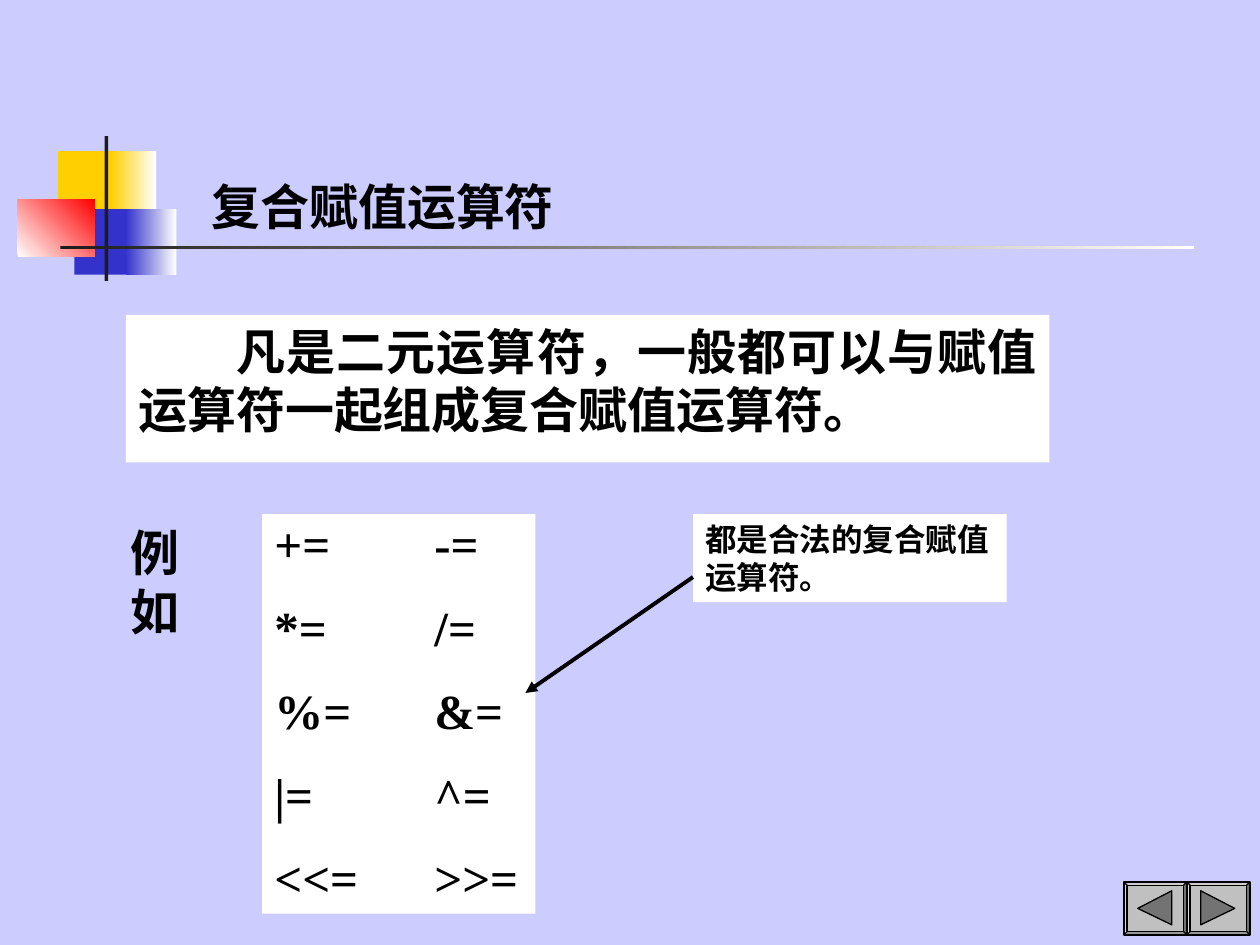
from lxml import etree
from pptx import Presentation
from pptx.dml.color import RGBColor
from pptx.enum.shapes import MSO_CONNECTOR, MSO_SHAPE
from pptx.enum.text import MSO_ANCHOR, PP_ALIGN
from pptx.oxml.ns import qn
from pptx.util import Inches, Pt

RECT, BEVEL = MSO_SHAPE.RECTANGLE, MSO_SHAPE.BEVEL
STRAIGHT = MSO_CONNECTOR.STRAIGHT
TOP, BOTTOM = MSO_ANCHOR.TOP, MSO_ANCHOR.BOTTOM
LEFT, JUSTIFY = PP_ALIGN.LEFT, PP_ALIGN.JUSTIFY

LILAC = RGBColor(0xCC, 0xCC, 0xFF)
WHITE = RGBColor(0xFF, 0xFF, 0xFF)
BLACK = RGBColor(0, 0, 0)
GOLD = RGBColor(0xFF, 0xCF, 0x01)
BLUE = RGBColor(0x33, 0x33, 0xCC)
RED = RGBColor(0xFF, 0, 0)
INK = RGBColor(0x1C, 0x1C, 0x1C)
SILVER = RGBColor(0xC0, 0xC0, 0xC0)
GRAY = RGBColor(0x73, 0x73, 0x73)
FONT = "Times New Roman"

TITLE = "复合赋值运算符"
RULE = "凡是二元运算符，一般都可以与赋值运算符一起组成复合赋值运算符。"
LABEL = "例如"
NOTE = "都是合法的复合赋值运算符。"
PAIRS = [("+=", "-="), ("*=", "/="), ("%=", "&="), ("|=", "^="), ("<<=", ">>=")]

DECOR = [
    ((0.46, 1.2, 0.48, 0.52), (GOLD,), 0),
    ((0.88, 1.2, 0.36, 0.52), (GOLD, WHITE), 0),
    ((0.59, 1.66, 0.46, 0.52), (BLUE,), 0),
    ((1, 1.66, 0.4, 0.52), (BLUE, WHITE), 0),
    ((0.14, 1.58, 0.61, 0.46), (WHITE, RED), 45),
    ((0.83, 1.08, 0.03, 1.15), (INK,), 0),
    ((0.48, 1.95, 9, 0.03), (INK, WHITE), 0),
]
BUTTONS = [
    (8.92, [(0.11, 0.21), (0.38, 0.07), (0.38, 0.34)]),
    (9.42, [(0.11, 0.07), (0.38, 0.21), (0.11, 0.34)]),
]
BTN_TOP, BTN_W, BTN_H = 7, 0.5, 0.42

prs = Presentation()
prs.slide_width, prs.slide_height = Inches(10), Inches(7.5)
slide = prs.slides.add_slide(prs.slide_layouts[6])
slide.background.fill.solid()
slide.background.fill.fore_color.rgb = LILAC
shapes = slide.shapes


def paint(shape, color):
    shape.fill.solid()
    shape.fill.fore_color.rgb = color


def add_block(box, colors, angle):
    shape = shapes.add_shape(RECT, *map(Inches, box))
    shape.shadow.inherit = False
    shape.line.fill.background()
    if len(colors) == 1:
        paint(shape, colors[0])
        return
    shape.fill.gradient()
    shape.fill.gradient_angle = angle
    for stop, color in zip(shape.fill.gradient_stops, colors):
        stop.color.rgb = color


def add_text(box, lines, size=28, fill=None, anchor=TOP, align=LEFT,
             indent=0, gap=0, pitch=None, tab=None, wrap=True):
    shape = shapes.add_textbox(*map(Inches, box))
    if fill is not None:
        paint(shape, fill)
    frame = shape.text_frame
    frame.word_wrap = wrap
    frame.vertical_anchor = anchor
    for i, line in enumerate(lines):
        para = frame.paragraphs[0] if i == 0 else frame.add_paragraph()
        para.text = line
        props = para._p.get_or_add_pPr()
        if indent:
            props.set("indent", str(Inches(indent)))
        if tab:
            stops = etree.SubElement(props, qn("a:tabLst"))
            etree.SubElement(stops, qn("a:tab"), pos=str(Inches(tab)), algn="l")
        para.alignment = align
        if pitch:
            para.line_spacing = pitch
        if i and gap:
            para.space_before = Pt(gap)
        font = para.font
        font.name, font.size, font.bold = FONT, Pt(size), True
        font.color.rgb = BLACK


def add_arrow(start, end):
    line = shapes.add_connector(STRAIGHT, *map(Inches, start + end))
    line.line.color.rgb = BLACK
    line.line.width = Pt(2.25)
    etree.SubElement(line.line._get_or_add_ln(), qn("a:tailEnd"), type="triangle")
    etree.SubElement(line._element.spPr, qn("a:effectLst"))


def add_button(left, points):
    frame = shapes.add_shape(BEVEL, *map(Inches, (left, BTN_TOP, BTN_W, BTN_H)))
    frame.adjustments[0] = 0.06
    spots = [(Inches(left + x), Inches(BTN_TOP + y)) for x, y in points]
    pen = shapes.build_freeform(*spots[0])
    pen.add_line_segments(spots[1:], close=True)
    for shape, color in ((frame, SILVER), (pen.convert_to_shape(), GRAY)):
        shape.shadow.inherit = False
        paint(shape, color)
        shape.line.color.rgb = BLACK
        shape.line.width = Pt(0.75)


for item in DECOR:
    add_block(*item)
add_text((1.58, 1.17, 3.57, 0.75), [TITLE], anchor=BOTTOM)
add_text((1, 2.5, 7.33, 1.17), [RULE], fill=WHITE, align=JUSTIFY, indent=0.78)
add_text((5.5, 4.08, 2.49, 0.7), [NOTE], size=18, fill=WHITE)
add_text((2.08, 4.08, 2.17, 3.17), ["\t".join(pair) for pair in PAIRS],
         fill=WHITE, gap=17.5, pitch=0.9, tab=1.27)
add_text((0.94, 4.1, 0.97, 0.57), [LABEL], wrap=False)
add_arrow((5.5, 4.58), (4.17, 5.5))
for button in BUTTONS:
    add_button(*button)

prs.save("out.pptx")
